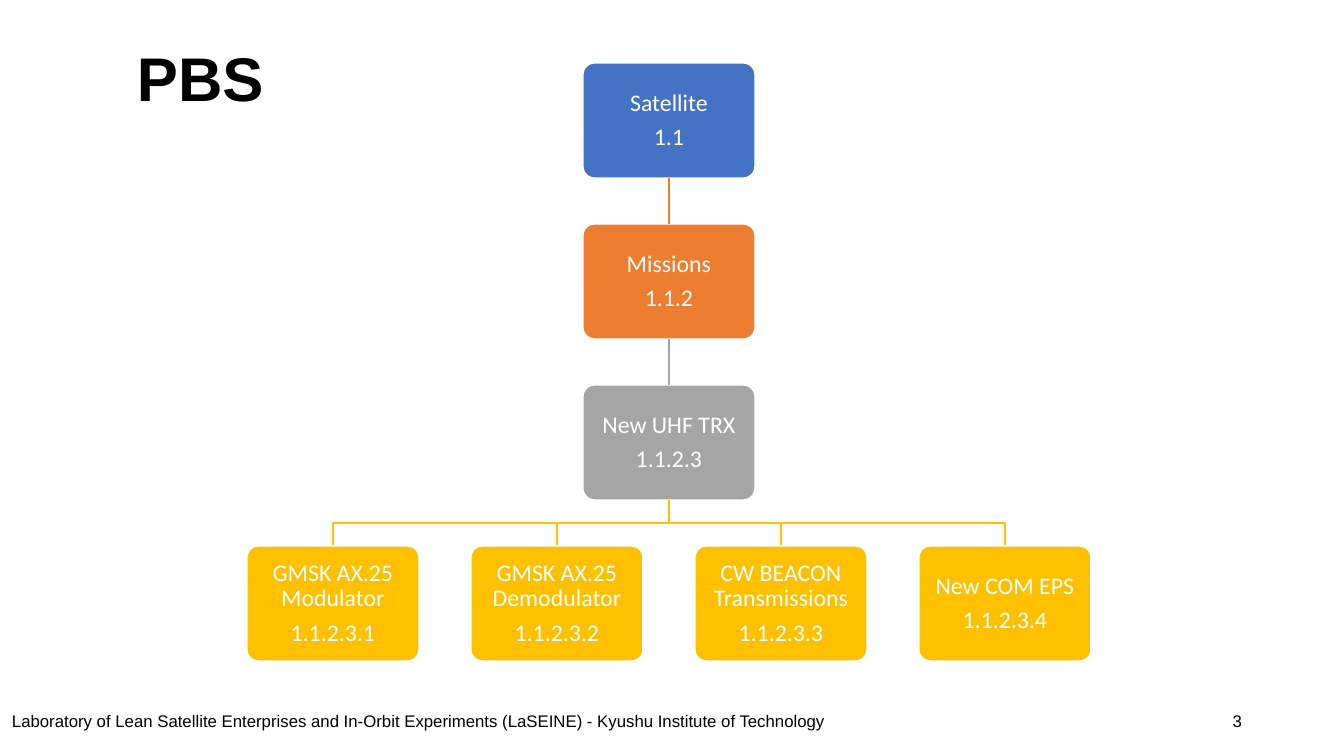
from pptx import Presentation
from pptx.dml.color import RGBColor
from pptx.enum.shapes import MSO_CONNECTOR, MSO_SHAPE
from pptx.enum.text import MSO_ANCHOR, MSO_AUTO_SIZE, PP_ALIGN
from pptx.oxml.ns import qn
from pptx.util import Pt
from lxml import etree

STRAIGHT = MSO_CONNECTOR.STRAIGHT
ROUND = MSO_SHAPE.ROUNDED_RECTANGLE
MIDDLE, TOP = MSO_ANCHOR.MIDDLE, MSO_ANCHOR.TOP
LEFT, CENTER, RIGHT = PP_ALIGN.LEFT, PP_ALIGN.CENTER, PP_ALIGN.RIGHT
FIXED = MSO_AUTO_SIZE.NONE

HEX = {"blue": "4472C4", "orange": "ED7D31", "gray": "A5A5A5",
       "gold": "FFC000", "white": "FFFFFF", "black": "000000"}

TITLE = "PBS"
FOOTER = ("Laboratory of Lean Satellite Enterprises and In-Orbit Experiments "
          "(LaSEINE) - Kyushu Institute of Technology")
NUMBER = "3"
TRUNK = [
    ("Satellite", "1.1", "blue"),
    ("Missions", "1.1.2", "orange"),
    ("New UHF TRX", "1.1.2.3", "gray"),
]
LEAVES = [
    ("GMSK AX.25 Modulator", "1.1.2.3.1"),
    ("GMSK AX.25 Demodulator", "1.1.2.3.2"),
    ("CW BEACON Transmissions", "1.1.2.3.3"),
    ("New COM EPS", "1.1.2.3.4"),
]

WIDE, HIGH = 1344, 756
BOX_W, BOX_H = 172, 115
MID_X, TOP_Y = 669, 63
STEP_X, STEP_Y = 224, 161


def px(n):
    return round(n * 12192000 / WIDE)


def color(name):
    return RGBColor.from_string(HEX[name])


def write(shape, lines, size, face, ink, align, anchor, pad):
    frame = shape.text_frame
    frame.word_wrap = True
    frame.auto_size = FIXED
    frame.vertical_anchor = anchor
    (frame.margin_left, frame.margin_top,
     frame.margin_right, frame.margin_bottom) = map(px, pad)
    frame.text = "\n".join(lines)
    for para in frame.paragraphs:
        para.alignment = align
        para.font.size = Pt(size)
        para.font.name = face
        para.font.color.rgb = color(ink)
    return frame.paragraphs


def add_node(slide, x, y, name, code, tone):
    box = slide.shapes.add_shape(ROUND, px(x - BOX_W // 2), px(y), px(BOX_W), px(BOX_H))
    box.adjustments[0] = 0.1
    box.shadow.inherit = False
    box.fill.solid()
    box.fill.fore_color.rgb = color(tone)
    box.line.color.rgb = color("white")
    box.line.width = Pt(1)
    for para in write(box, [name, code], 17, "Calibri", "white", CENTER, MIDDLE, (10,) * 4):
        para.line_spacing = 0.9
        para.space_after = Pt(6)
    return box


def add_link(slide, upper, lower, tone):
    link = slide.shapes.add_connector(STRAIGHT, 0, 0, 0, 0)
    link.begin_connect(upper, 2)
    link.end_connect(lower, 0)
    link.line.color.rgb = color(tone)
    link.line.width = Pt(1)
    etree.SubElement(link._element.spPr, qn("a:effectLst"))


def add_branch(slide, x, y):
    start = y - STEP_Y + BOX_H
    bend = (start + y) // 2
    pen = slide.shapes.build_freeform(px(MID_X), px(start))
    pen.add_line_segments([(px(MID_X), px(bend)), (px(x), px(bend)), (px(x), px(y))],
                          close=False)
    branch = pen.convert_to_shape()
    branch.shadow.inherit = False
    branch.fill.background()
    branch.line.color.rgb = color("gold")
    branch.line.width = Pt(1)


def add_label(slide, area, text, align, anchor, pad):
    label = slide.shapes.add_textbox(*map(px, area))
    return write(label, [text], 12, "Arial", "black", align, anchor, pad)[0]


def main():
    deck = Presentation()
    deck.slide_width, deck.slide_height = px(WIDE), px(HIGH)
    slide = deck.slides.add_slide(deck.slide_layouts[5])

    title = slide.shapes.title
    title.left, title.top, title.width, title.height = map(px, (127, 40, 1125, 84))
    head = write(title, [TITLE], 44, "Arial", "black", LEFT, MIDDLE, (10, 5, 10, 5))[0]
    head.font.bold = True
    head.line_spacing = 0.9

    foot = add_label(slide, (11, 708, 823, 23), FOOTER, LEFT, TOP, (1, 3, 0, 0))
    foot.space_before = Pt(1.9)
    add_label(slide, (950, 701, 302, 40), NUMBER, RIGHT, MIDDLE, (10, 5, 10, 5))

    upper = None
    for row, (name, code, tone) in enumerate(TRUNK):
        node = add_node(slide, MID_X, TOP_Y + row * STEP_Y, name, code, tone)
        if upper is not None:
            add_link(slide, upper, node, tone)
        upper = node

    y = TOP_Y + len(TRUNK) * STEP_Y
    first = MID_X - STEP_X * (len(LEAVES) - 1) // 2
    for col, (name, code) in enumerate(LEAVES):
        x = first + col * STEP_X
        add_branch(slide, x, y)
        add_node(slide, x, y, name, code, "gold")

    deck.save("out.pptx")


if __name__ == "__main__":
    main()
